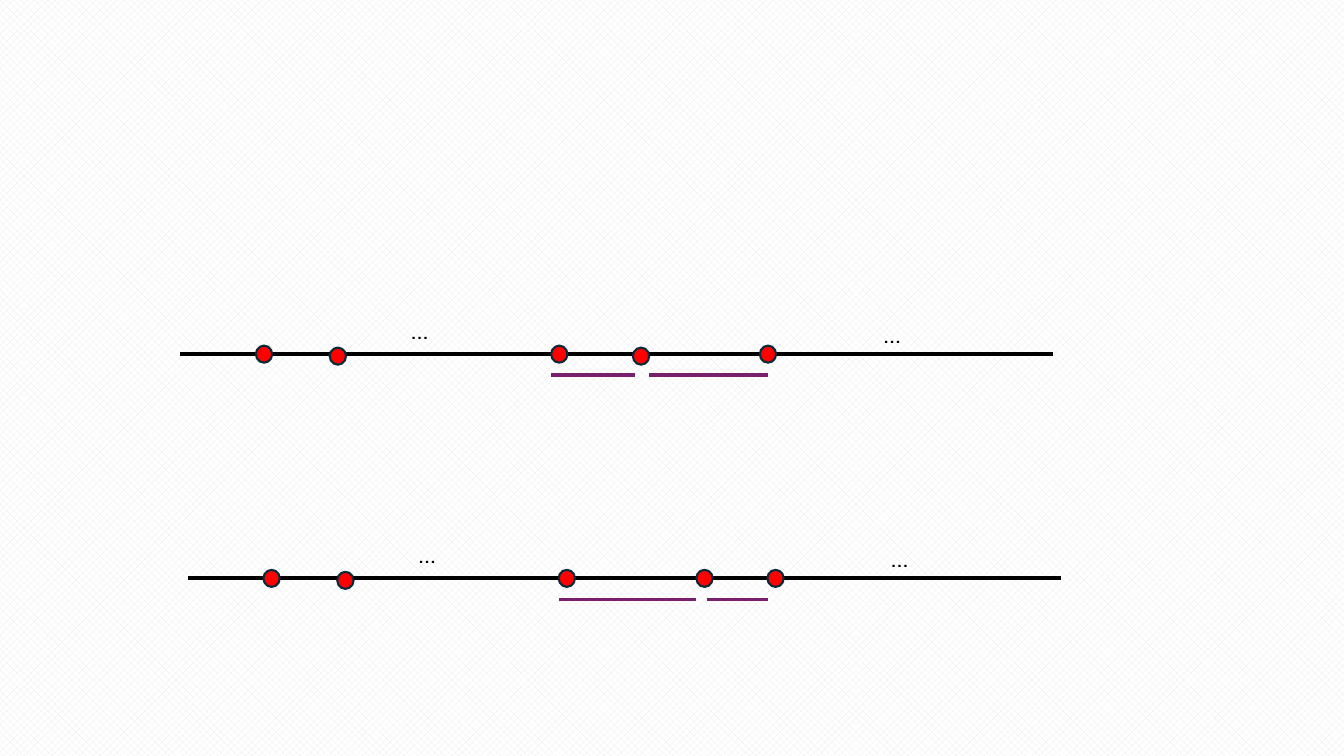
from dataclasses import dataclass

from lxml.etree import SubElement
from pptx import Presentation
from pptx.dml.color import RGBColor
from pptx.enum.dml import MSO_PATTERN
from pptx.enum.shapes import MSO_CONNECTOR, MSO_SHAPE
from pptx.enum.text import MSO_AUTO_SIZE
from pptx.oxml.ns import qn
from pptx.util import Cm, Pt


@dataclass(frozen=True)
class Theme:
    paper = RGBColor(0xFF, 0xFF, 0xFF)
    weave = RGBColor(0xE8, 0xE8, 0xE8)
    ink = RGBColor(0x00, 0x00, 0x00)
    dot = RGBColor(0xFF, 0x00, 0x00)
    dot_edge = RGBColor(0x09, 0x2A, 0x39)
    interval = RGBColor(0x78, 0x20, 0x6E)
    font = "Cabin"
    text_size = Pt(18)
    axis_width = Pt(3)
    interval_width = Pt(2.25)
    edge_width = Pt(1.5)


theme = Theme()
presentation = Presentation()
presentation.slide_width = Cm(33.87)
presentation.slide_height = Cm(19.05)
slide = presentation.slides.add_slide(presentation.slide_layouts[6])

background = slide.background.fill
background.patterned()
background.pattern = MSO_PATTERN.PERCENT_50
background.fore_color.rgb = theme.weave
background.back_color.rgb = theme.paper


def add_line(start, end, height, color, width):
    line = slide.shapes.add_connector(
        MSO_CONNECTOR.STRAIGHT, Cm(start), Cm(height), Cm(end), Cm(height)
    )
    line.line.color.rgb = color
    line.line.width = width
    SubElement(line._element.spPr, qn("a:effectLst"))


def add_text(text, *, left, top, width, height, size, color):
    shape = slide.shapes.add_textbox(Cm(left), Cm(top), Cm(width), Cm(height))
    shape.text_frame.word_wrap = True
    shape.text_frame.auto_size = MSO_AUTO_SIZE.SHAPE_TO_FIT_TEXT
    paragraph = shape.text_frame.paragraphs[0]
    run = paragraph.add_run()
    run.text = text
    run.font.name = theme.font
    run.font.size = size
    run.font.color.rgb = color


axis_length = 22
dot_width, dot_height = 0.41, 0.43
dot_rise, low_dot_rise = 0.21, 0.16
interval_drop = 0.53
fixed_dots = [(1.91, dot_rise), (3.77, low_dot_rise), (14.61, dot_rise), (9.35, dot_rise)]
ellipses = [(5.57, 1.12), (17.48, 1.02)]
number_lines = [
    (4.54, 8.92, (11.41, low_dot_rise), [(9.35, 11.46), (11.82, 14.81)]),
    (4.73, 14.57, (12.82, dot_rise), [(9.35, 12.82), (13.08, 14.63)]),
]

for left, axis, moving_dot, intervals in number_lines:
    add_line(left, left + axis_length, axis, theme.ink, theme.axis_width)

    for offset, rise in [*fixed_dots, moving_dot]:
        dot = slide.shapes.add_shape(
            MSO_SHAPE.OVAL, Cm(left + offset), Cm(axis - rise), Cm(dot_width), Cm(dot_height)
        )
        dot.shadow.inherit = False
        dot.fill.solid()
        dot.fill.fore_color.rgb = theme.dot
        dot.line.color.rgb = theme.dot_edge
        dot.line.width = theme.edge_width

    for start, end in intervals:
        add_line(left + start, left + end, axis + interval_drop, theme.interval, theme.interval_width)

    for offset, rise in ellipses:
        add_text("…", left=left + offset, top=axis - rise, width=1.47, height=1.02,
                 size=theme.text_size, color=theme.ink)

presentation.save("out.pptx")
